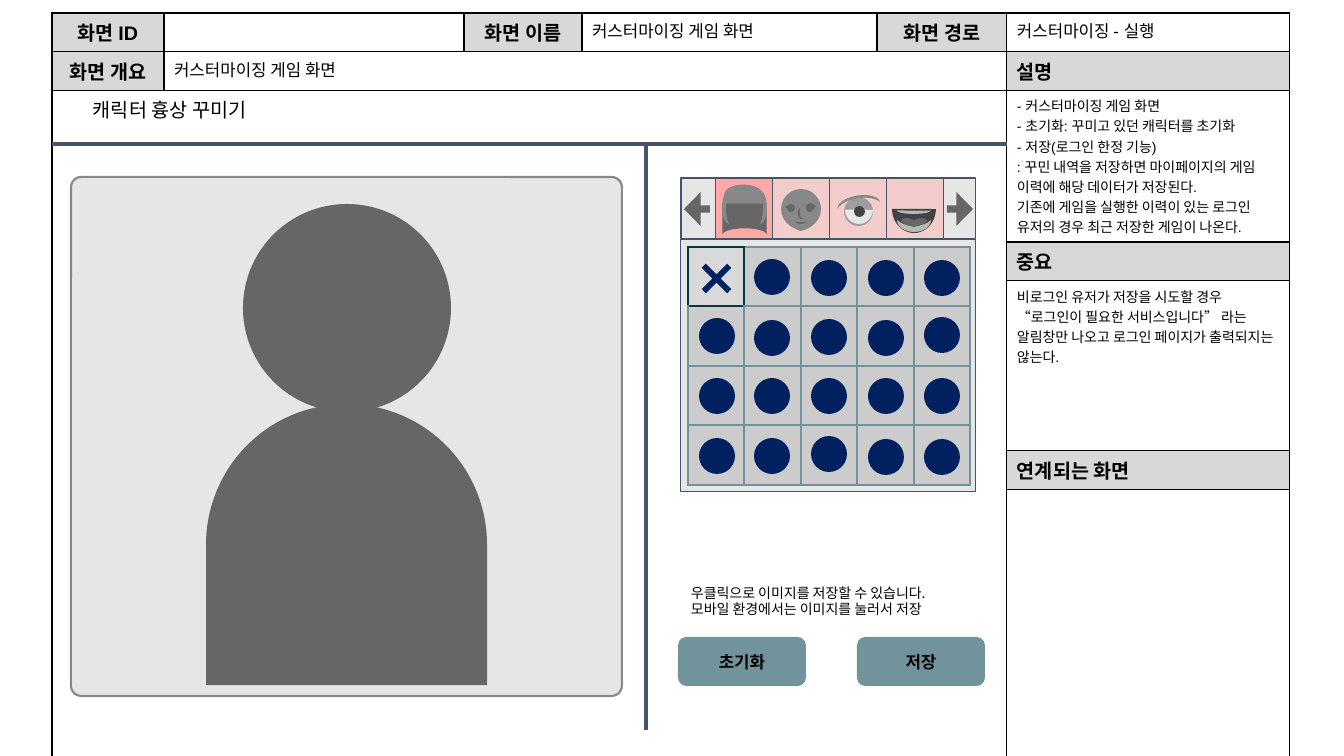
from dataclasses import dataclass
from typing import Optional

from lxml import etree
from pptx import Presentation
from pptx.dml.color import RGBColor
from pptx.enum.shapes import MSO_CONNECTOR, MSO_SHAPE
from pptx.enum.text import MSO_ANCHOR, PP_ALIGN
from pptx.oxml.ns import qn
from pptx.util import Emu, Pt

RECT = MSO_SHAPE.RECTANGLE
ROUND = MSO_SHAPE.ROUNDED_RECTANGLE
OVAL = MSO_SHAPE.OVAL
ARROW = MSO_SHAPE.RIGHT_ARROW
MOON = MSO_SHAPE.MOON
TEAR = MSO_SHAPE.TEAR
CHORD = MSO_SHAPE.CHORD
STRIPE = MSO_SHAPE.DIAGONAL_STRIPE
DELAY = MSO_SHAPE.FLOWCHART_DELAY
STORAGE = MSO_SHAPE.FLOWCHART_STORED_DATA
HEART = MSO_SHAPE.HEART
MULTIPLY = MSO_SHAPE.MATH_MULTIPLY
CENTER = PP_ALIGN.CENTER
MIDDLE = MSO_ANCHOR.MIDDLE

BLACK, NAVY, SLATE, TEAL, DARK_TEAL = "000000", "002060", "44546A", "71939B", "013946"
PALE, DARK, GRAY, SILVER, INK = "E7E6E6", "666666", "888888", "B7B7B7", "434343"
HEADER, PINK, ROSE = "D8D8D8", "F4CCCC", "FFA8A8"
SANS, KOREAN = "Arial", "Noto Sans CJK KR"
EMU_PER_PX = 914400 / 100.8


@dataclass
class Part:
    kind: int
    box: tuple[int, int, int, int]
    fill: str
    rotation: int = 0
    adj: tuple[float, ...] = ()
    flip: bool = False
    line: Optional[str] = None
    width: float = 0.75


@dataclass
class Entry:
    row: int
    col: int
    text: str
    size: int = 14
    bold: bool = True
    shaded: bool = True
    align: Optional[int] = None


@dataclass
class Edge:
    color: str
    width: float


def px(value: float) -> Emu:
    return Emu(round(value * EMU_PER_PX))


def rgb(value: str) -> RGBColor:
    return RGBColor.from_string(value)


def draw(shapes, part: Part):
    sp = shapes.add_shape(part.kind, *map(px, part.box))
    sp.shadow.inherit = False
    sp.fill.solid()
    sp.fill.fore_color.rgb = rgb(part.fill)
    if part.line:
        sp.line.color.rgb = rgb(part.line)
        sp.line.width = Pt(part.width)
    else:
        sp.line.fill.background()
    sp.rotation = part.rotation
    for i, value in enumerate(part.adj):
        sp.adjustments[i] = value
    if part.flip:
        sp.element.spPr.find(qn("a:xfrm")).set("flipH", "1")
    return sp


def write(tf, text: str, size: int, font: str, bold: bool = False, align=None) -> None:
    tf.text = text
    for p in tf.paragraphs:
        p.alignment = align
        for r in p.runs:
            r.font.size, r.font.name, r.font.bold = Pt(size), font, bold
            r.font.color.rgb = rgb(BLACK)


def pad(tf) -> None:
    tf.word_wrap = True
    tf.margin_left = tf.margin_right = tf.margin_top = tf.margin_bottom = px(10)


def add_label(box: tuple[int, int, int, int], text: str, size: int) -> None:
    tf = s.shapes.add_textbox(*map(px, box)).text_frame
    pad(tf)
    write(tf, text, size, KOREAN)


def add_divider(x1: int, y1: int, x2: int, y2: int) -> None:
    line = s.shapes.add_connector(MSO_CONNECTOR.STRAIGHT, px(x1), px(y1), px(x2), px(y2))
    line.line.color.rgb = rgb(SLATE)
    line.line.width = Pt(2.25)
    etree.SubElement(line.element.spPr, qn("a:effectLst"))


def style_cell(cell, edges: dict[str, Edge], fill: Optional[str]) -> None:
    tc_pr = cell._tc.get_or_add_tcPr()
    for side in "LRTB":
        edge = edges[side]
        ln = etree.SubElement(tc_pr, qn(f"a:ln{side}"), w=str(Pt(edge.width)))
        solid = etree.SubElement(ln, qn("a:solidFill"))
        etree.SubElement(solid, qn("a:srgbClr"), val=edge.color)
    if fill:
        cell.fill.solid()
        cell.fill.fore_color.rgb = rgb(fill)
    else:
        cell.fill.background()


def add_grid(left: int, top: int, cols: tuple[int, ...], rows: tuple[int, ...]):
    frame = s.shapes.add_table(len(rows), len(cols), px(left), px(top), px(sum(cols)), px(sum(rows)))
    table = frame.table
    table.first_row = table.horz_banding = False
    for col, width in zip(table.columns, cols):
        col.width = px(width)
    for row, height in zip(table.rows, rows):
        row.height = px(height)
    return table


prs = Presentation()
prs.slide_width, prs.slide_height = px(1344), px(756)
s = prs.slides.add_slide(prs.slide_layouts[6])

entries = [
    Entry(0, 0, "화면 ID", align=CENTER),
    Entry(0, 2, "화면 이름", align=CENTER),
    Entry(0, 3, "커스터마이징 게임 화면", 12, False, False),
    Entry(0, 4, "화면 경로", align=CENTER),
    Entry(0, 5, "커스터마이징 - 실행", 12, False, False),
    Entry(1, 0, "화면 개요", align=CENTER),
    Entry(1, 1, "커스터마이징 게임 화면", 12, False, False),
    Entry(1, 5, "설명"),
    Entry(2, 5, "- 커스터마이징 게임 화면\n- 초기화: 꾸미고 있던 캐릭터를 초기화\n"
          "- 저장(로그인 한정 기능)\n"
          ": 꾸민 내역을 저장하면 마이페이지의 게임 이력에 해당 데이터가 저장된다.\n"
          "기존에 게임을 실행한 이력이 있는 로그인 유저의 경우 최근 저장한 게임이 나온다.", 10, False, False),
    Entry(3, 5, "중요"),
    Entry(4, 5, "비로그인 유저가 저장을 시도할 경우 “로그인이 필요한 서비스입니다” 라는 "
          "알림창만 나오고 로그인 페이지가 출력되지는 않는다.", 10, False, False),
    Entry(5, 5, "연계되는 화면"),
]
layout = add_grid(52, 13, (112, 300, 118, 295, 130, 283), (38, 39, 151, 39, 170, 38, 284))
layout.cell(1, 1).merge(layout.cell(1, 4))
layout.cell(2, 0).merge(layout.cell(6, 4))
shaded = {(e.row, e.col) for e in entries if e.shaded}
for e in entries:
    write(layout.cell(e.row, e.col).text_frame, e.text, e.size, SANS, e.bold, e.align)
for r in range(7):
    for c in range(6):
        cell = layout.cell(r, c)
        style_cell(cell, dict.fromkeys("LRTB", Edge(BLACK, 1)), HEADER if (r, c) in shaded else None)
        if not cell.text_frame.text:
            etree.SubElement(cell.text_frame.paragraphs[0]._p, qn("a:endParaRPr"), sz="1000")

draw(s.shapes, Part(RECT, (681, 240, 295, 252), PALE, line=SLATE))
draw(s.shapes, Part(ROUND, (71, 177, 551, 519), PALE, adj=(0.02,), line=GRAY, width=1.5))

next_button, prev_button = [
    [Part(RECT, (x, 178, 36, 61), PALE, line=SLATE),
     Part(ARROW, (arrow_x, 192, 26, 34), DARK, turn, (0.21, 0.64))]
    for x, arrow_x, turn in ((940, 947, 0), (681, 684, 180))
]
tabs = [Part(RECT, (716 + 57 * i, 178, 57, 61), PINK if i else ROSE, line=SLATE) for i in (3, 2, 1, 0)]
hair = [
    Part(STORAGE, (726, 194, 37, 44), DARK, 90),
    Part(DELAY, (734, 175, 19, 38), GRAY, 270),
    Part(MOON, (722, 191, 7, 33), GRAY, adj=(0.56,)),
    Part(MOON, (760, 191, 7, 33), GRAY, 180, (0.56,)),
]
face = [
    Part(TEAR, (781, 189, 40, 40), GRAY, 135, (0.78,)),
    Part(STRIPE, (798, 208, 4, 8), DARK, 205, (0.47,), True),
    Part(STRIPE, (799, 215, 4, 4), DARK, 165, (0.34,), True),
    Part(TEAR, (806, 203, 8, 9), DARK, 35, (1,)),
    Part(TEAR, (787, 204, 8, 8), DARK, 240, (1,)),
    Part(MOON, (799, 217, 3, 11), DARK, 90, (0.55,), True),
]
eye = [
    Part(OVAL, (844, 197, 29, 29), "9E9E9E"),
    Part(MOON, (853, 179, 10, 43), GRAY, 81, (0.28,)),
    Part(CHORD, (845, 195, 28, 29), PALE, adj=(0.8, 107.84)),
    Part(OVAL, (854, 206, 11, 11), INK),
]
mouth = [
    Part(CHORD, (892, 184, 44, 49), INK, adj=(0.8, 107.52)),
    Part(MOON, (908, 209, 12, 34), SILVER, 270, (0.5,)),
    Part(CHORD, (897, 207, 34, 7), SILVER, adj=(0.51, 108)),
    Part(HEART, (901, 218, 26, 9), DARK),
]
avatar = [Part(OVAL, (243, 204, 208, 208), DARK), Part(DELAY, (206, 404, 281, 281), DARK, 270)]
for parts in (next_button, prev_button, tabs + hair + face + eye + mouth, avatar):
    group = s.shapes.add_group_shape()
    for part in parts:
        draw(group.shapes, part)

picker = add_grid(688, 247, (56, 57, 56, 57, 56), (59, 60, 59, 60))
normal, selected = Edge(TEAL, 1.5), Edge(DARK_TEAL, 2.25)
selected_sides = {(0, 0): "LRTB", (0, 1): "L", (1, 0): "T"}
for r in range(4):
    for c in range(5):
        sides = selected_sides.get((r, c), "")
        edges = {side: selected if side in sides else normal for side in "LRTB"}
        style_cell(picker.cell(r, c), edges, "CCCCCC" if r or c else "D9D9D9")

dot_columns = {
    699: (318, 378, 438),
    754: (259, 320, 378, 438),
    811: (260, 319, 378, 436),
    868: (260, 320, 378, 439),
    924: (260, 317, 378, 439),
}
for x, tops in dot_columns.items():
    for y in tops:
        draw(s.shapes, Part(OVAL, (x, y, 36, 36), NAVY))
draw(s.shapes, Part(MULTIPLY, (692, 254, 49, 49), NAVY, adj=(0.12,)))

for x, text in ((678, "초기화"), (857, "저장")):
    button = draw(s.shapes, Part(ROUND, (x, 637, 128, 49), TEAL, adj=(0.17,)))
    pad(button.text_frame)
    button.text_frame.vertical_anchor = MIDDLE
    write(button.text_frame, text, 12, SANS, True, CENTER)

add_label((681, 574, 295, 54), "우클릭으로 이미지를 저장할 수 있습니다.\n모바일 환경에서는 이미지를 눌러서 저장", 10)
add_label((83, 88, 309, 44), "캐릭터 흉상 꾸미기", 14)
add_divider(52, 144, 1007, 144)
add_divider(646, 144, 646, 730)

prs.save("out.pptx")
